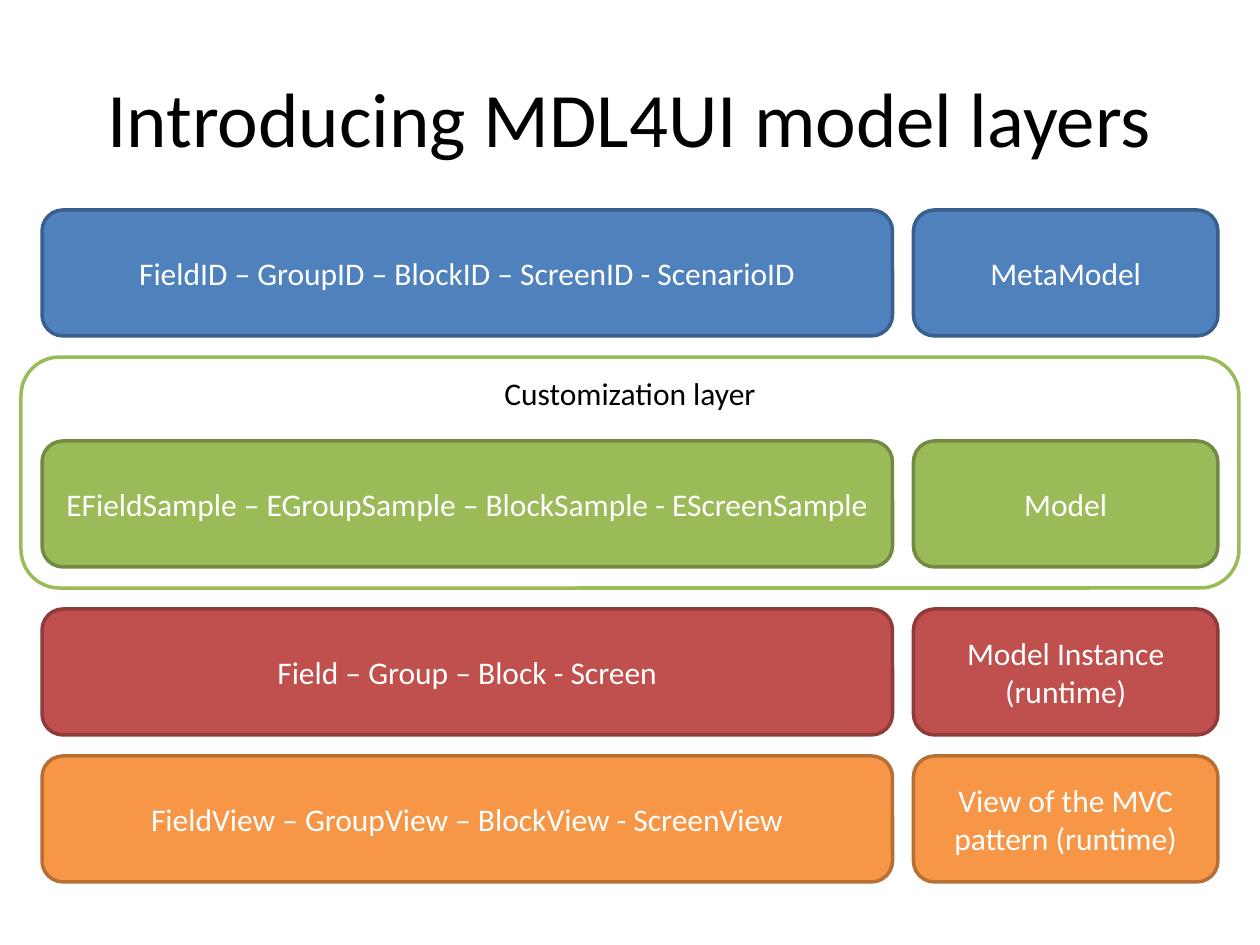
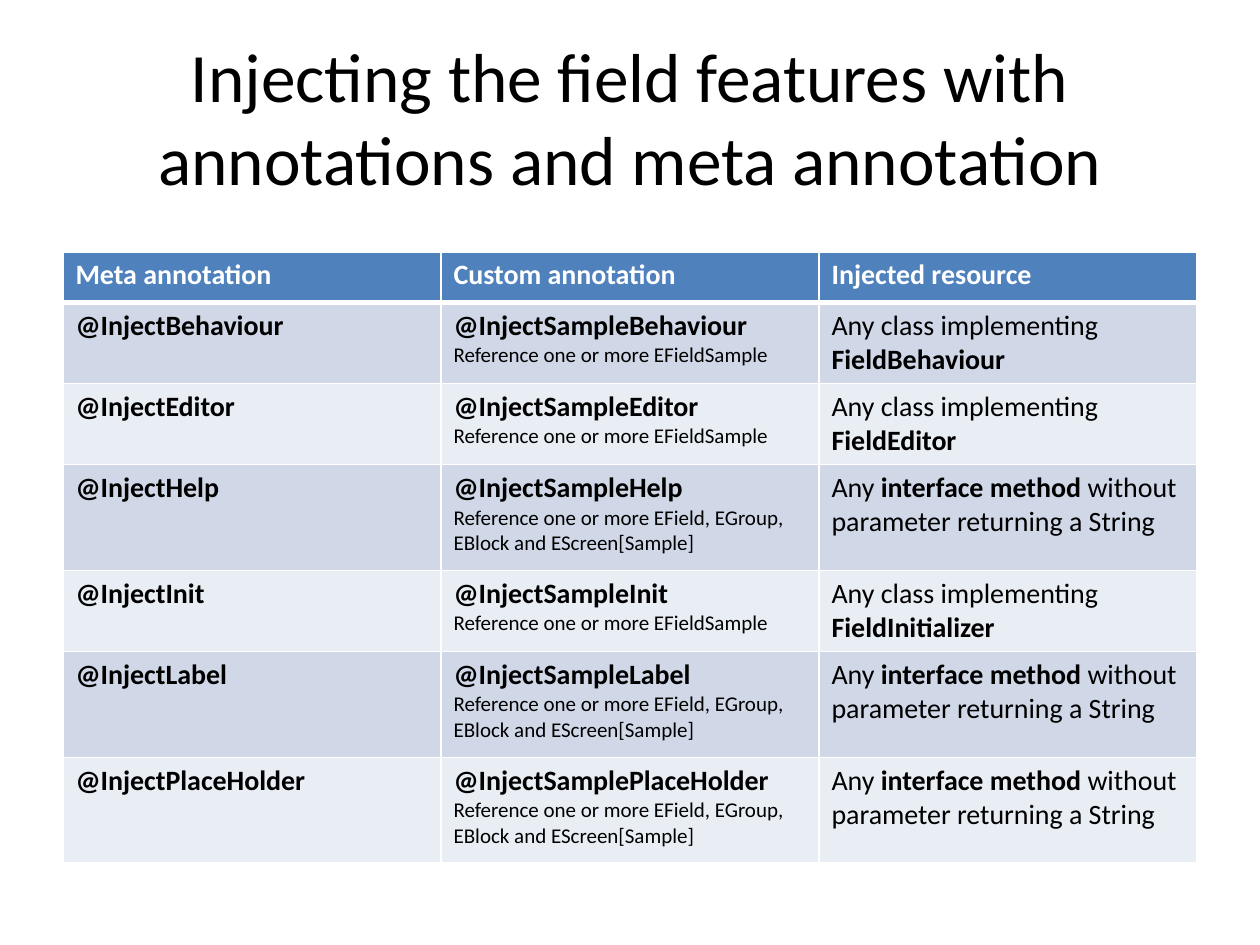
from dataclasses import dataclass

from lxml import etree
from pptx import Presentation
from pptx import util as u
from pptx.dml.color import RGBColor
from pptx.enum import shapes, text
from pptx.oxml.ns import qn

# Shared look and grid
W, H = u.Inches(10), u.Inches(7.5)
COLS, ROWS = 120, 90
FONT = "Calibri"
TITLE_ONLY = 5
COLORS = {
    "black": "000000", "white": "FFFFFF",
    "blue": "4F81BD", "blue_edge": "3A5F8C",
    "green": "9BBB59", "green_edge": "738A42",
    "red": "C0504D", "red_edge": "8E3B39",
    "orange": "F79646", "orange_edge": "B76F34",
    "band_dark": "D0D8E8", "band_light": "E9EDF4",
}


@dataclass
class Box:
    col: float
    row: float
    cols: float
    rows: float

    def place(self) -> tuple:
        dx, dy = W / COLS, H / ROWS
        return (round(self.col * dx), round(self.row * dy),
                round(self.cols * dx), round(self.rows * dy))


@dataclass
class Layer:
    row: int
    color: str
    elements: str
    name: str


TITLE = Box(6, 3.6, 108, 15)
CUSTOMIZATION = Box(2, 34, 116, 22)
LAYERS = [
    Layer(20, "blue", "FieldID – GroupID – BlockID – ScreenID - ScenarioID", "MetaModel"),
    Layer(42, "green", "EFieldSample – EGroupSample – BlockSample - EScreenSample", "Model"),
    Layer(58, "red", "Field – Group – Block - Screen", "Model Instance (runtime)"),
    Layer(72, "orange", "FieldView – GroupView – BlockView - ScreenView",
          "View of the MVC pattern (runtime)"),
]

# Table content: a cell is a list of paragraphs, a paragraph a list of (text, size, bold)
HEADERS = ["Meta annotation", "Custom annotation", "Injected resource"]
FIELD_ONLY = "Reference one or more EFieldSample"
ANY_ELEMENT = "Reference one or more EField, EGroup, EBlock and EScreen[Sample]"
METHOD = [("Any ", 16, False), ("interface method ", 16, True),
          ("without parameter returning a String", 16, False)]
FEATURES = [
    ("Behaviour", "FieldBehaviour"), ("Editor", "FieldEditor"), ("Help", None),
    ("Init", "FieldInitializer"), ("Label", None), ("PlaceHolder", None),
]


def rgb(name: str) -> RGBColor:
    return RGBColor.from_string(COLORS[name])


def add_run(p, words: str, size: float, color: str, bold: bool = False) -> None:
    r = p.add_run()
    r.text = words
    for key, value in {"name": FONT, "size": u.Pt(size), "bold": bold}.items():
        setattr(r.font, key, value)
    r.font.color.rgb = rgb(color)


def add_title_slide(prs, words: str, size: float):
    s = prs.slides.add_slide(prs.slide_layouts[TITLE_ONLY])
    sp = s.shapes.title
    for key, value in zip(("left", "top", "width", "height"), TITLE.place()):
        setattr(sp, key, value)
    tf = sp.text_frame
    for key, value in {"word_wrap": True, "auto_size": text.MSO_AUTO_SIZE.NONE,
                       "vertical_anchor": text.MSO_ANCHOR.MIDDLE}.items():
        setattr(tf, key, value)
    p = tf.paragraphs[0]
    p.alignment = text.PP_ALIGN.CENTER
    add_run(p, words, size, "black")
    return s


def add_rounded(s, box: Box, words: str, fill: str, edge: str,
                ink: str = "white", anchor=text.MSO_ANCHOR.MIDDLE) -> None:
    sp = s.shapes.add_shape(shapes.MSO_SHAPE.ROUNDED_RECTANGLE, *box.place())
    sp.shadow.inherit = False
    sp.fill.solid()
    sp.fill.fore_color.rgb = rgb(fill)
    sp.line.color.rgb = rgb(edge)
    sp.line.width = u.Pt(2)
    tf = sp.text_frame
    tf.word_wrap = True
    tf.vertical_anchor = anchor
    p = tf.paragraphs[0]
    p.alignment = text.PP_ALIGN.CENTER
    add_run(p, words, 18, ink)


def set_borders(cell, widths: dict) -> None:
    tc_pr = cell._tc.get_or_add_tcPr()
    for i, side in enumerate("LRTB"):
        ln = etree.Element(qn(f"a:ln{side}"), w=str(u.Pt(widths.get(side, 1))))
        fill = etree.SubElement(ln, qn("a:solidFill"))
        etree.SubElement(fill, qn("a:srgbClr"), val=COLORS["white"])
        tc_pr.insert(i, ln)


def fill_cell(cell, paragraphs: list, fill: str, ink: str, borders: dict) -> None:
    cell.fill.solid()
    cell.fill.fore_color.rgb = rgb(fill)
    set_borders(cell, borders)
    tf = cell.text_frame
    for i, runs in enumerate(paragraphs):
        p = tf.add_paragraph() if i else tf.paragraphs[0]
        for words, size, bold in runs:
            add_run(p, words, size, ink, bold)


def feature_cells(feature: str, class_name: str | None) -> list:
    scope = FIELD_ONLY if class_name else ANY_ELEMENT
    resource = ([("Any class implementing ", 16, False), (class_name, 16, True)]
                if class_name else METHOD)
    return [
        [[(f"@Inject{feature}", 16, True)]],
        [[(f"@InjectSample{feature}", 16, True)], [(scope, 12, False)]],
        [resource],
    ]


def build_layers(prs) -> None:
    s = add_title_slide(prs, "Introducing MDL4UI model layers", 44)
    add_rounded(s, CUSTOMIZATION, "Customization layer", "white", "green",
                "black", text.MSO_ANCHOR.TOP)
    for layer in LAYERS:
        for col, cols, words in ((4, 81, layer.elements), (87, 29, layer.name)):
            add_rounded(s, Box(col, layer.row, cols, 12), words,
                        layer.color, f"{layer.color}_edge")


def build_annotations(prs) -> None:
    s = add_title_slide(
        prs, "Injecting the field features with annotations and meta annotation", 39.6)
    heights = [0.4] + [0.59 if name else 0.84 for _, name in FEATURES]
    left, top, width, _ = Box(6, 24, 108, 0).place()
    table = s.shapes.add_table(len(heights), len(HEADERS), left, top, width,
                               u.Inches(sum(heights))).table
    table.horz_banding = False
    for row, height in zip(table.rows, heights):
        row.height = u.Inches(height)

    # Header row
    for cell, words in zip(table.rows[0].cells, HEADERS):
        fill_cell(cell, [[(words, 16, True)]], "blue", "white", {"B": 3})

    # One banded row per injected feature
    for i, feature in enumerate(FEATURES, 1):
        band = "band_dark" if i % 2 else "band_light"
        borders = {"T": 3} if i == 1 else {}
        for cell, paragraphs in zip(table.rows[i].cells, feature_cells(*feature)):
            fill_cell(cell, paragraphs, band, "black", borders)


def main() -> None:
    prs = Presentation()
    prs.slide_width, prs.slide_height = W, H
    build_layers(prs)
    build_annotations(prs)
    prs.save("out.pptx")


if __name__ == "__main__":
    main()
